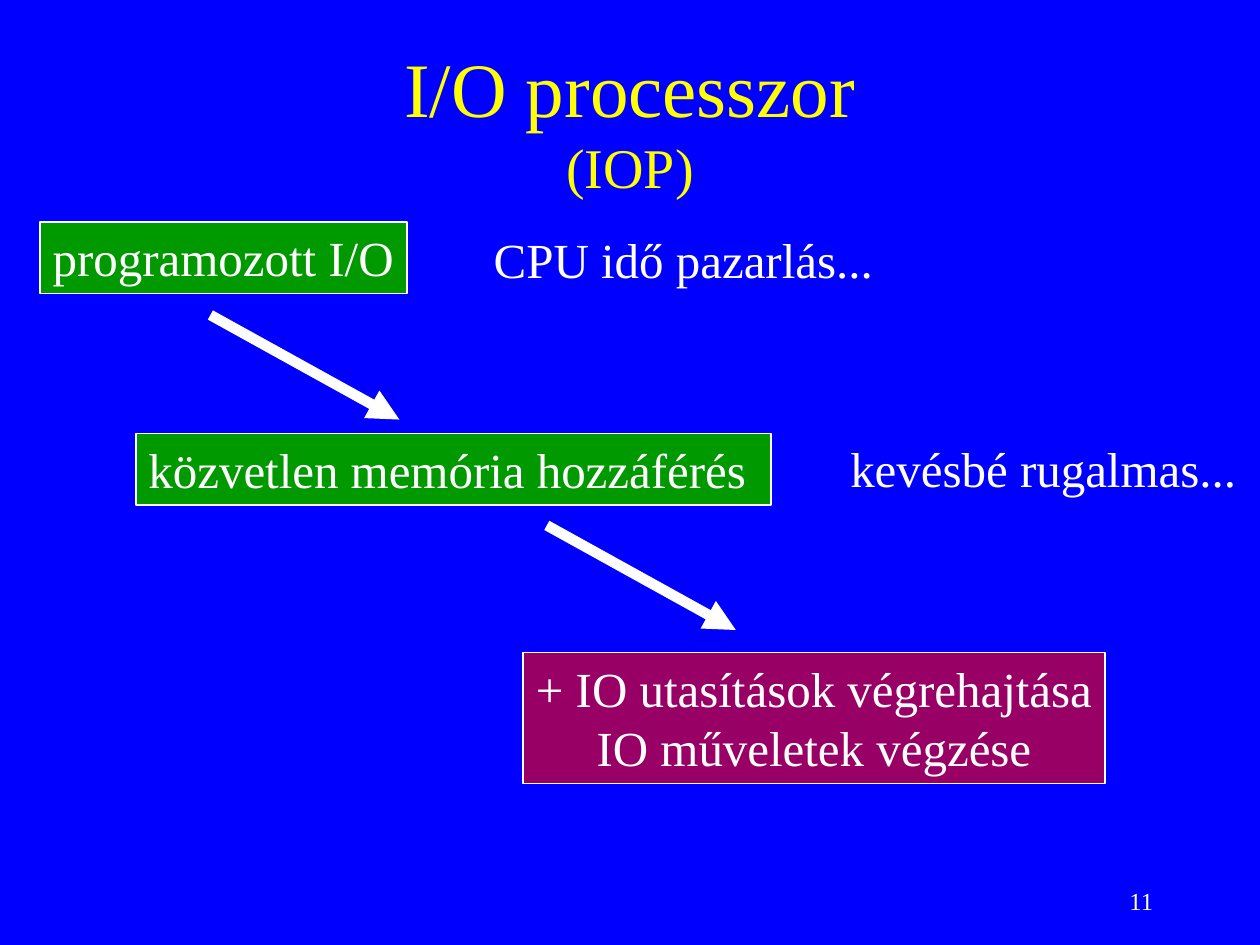
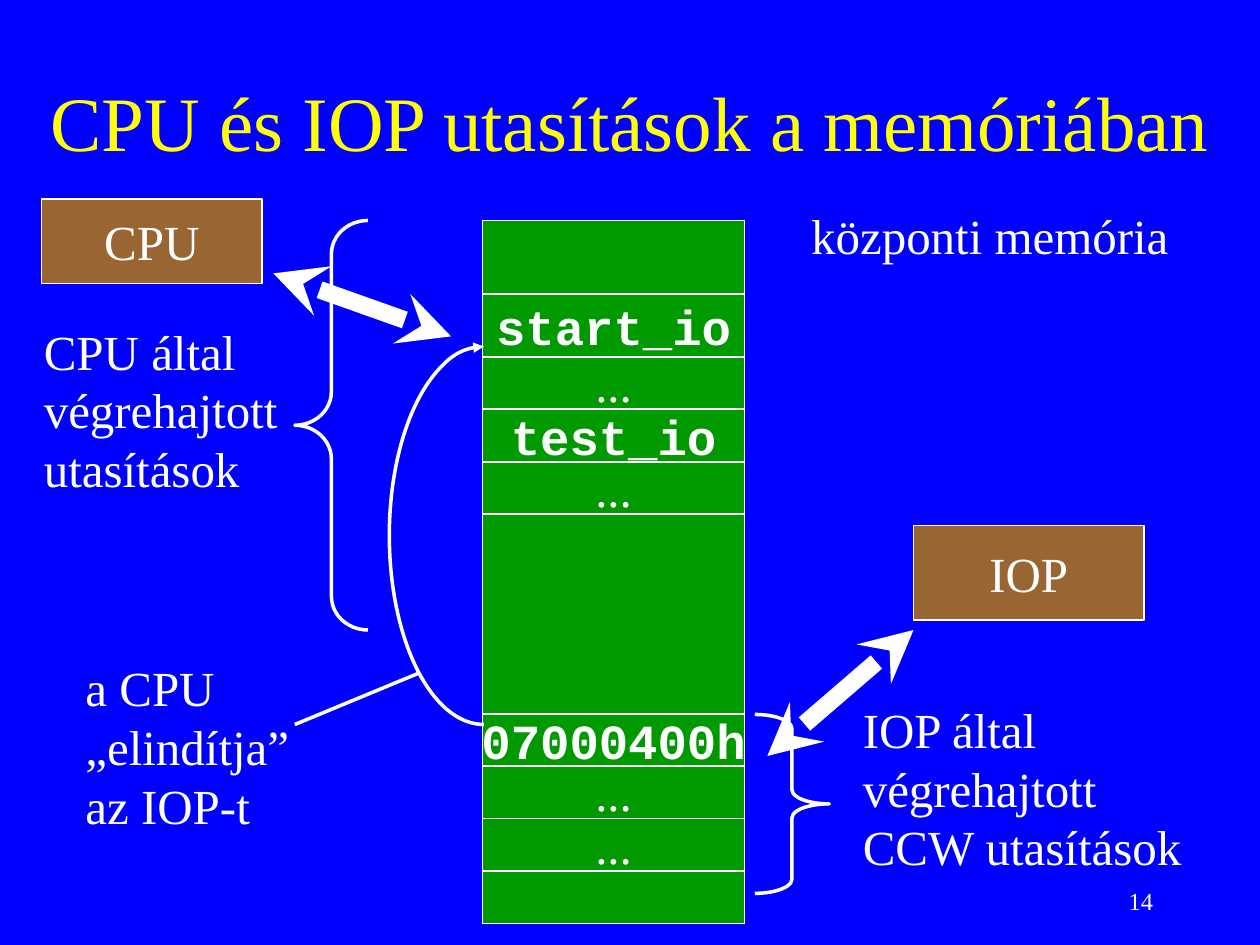
import dataclasses

import lxml.etree
import pptx
import pptx.dml.color
import pptx.enum.shapes
import pptx.enum.text
import pptx.oxml.ns
import pptx.util

Inches = pptx.util.Inches
Shape = pptx.enum.shapes.MSO_SHAPE
Align = pptx.enum.text.PP_ALIGN
Anchor = pptx.enum.text.MSO_ANCHOR
qn = pptx.oxml.ns.qn


@dataclasses.dataclass(frozen=True)
class Theme:
    background: str = "0000FF"
    title: str = "FFFF00"
    text: str = "FFFFFF"
    memory: str = "009900"
    result: str = "990066"
    processor: str = "996633"
    font: str = "Times New Roman"
    code_font: str = "Courier New"
    title_size: int = 44
    subtitle_size: int = 32
    body_size: int = 28
    number_size: int = 14
    border: float = 1
    thin: float = 2
    thick: float = 6
    heavy: float = 10


@dataclasses.dataclass(frozen=True)
class Box:
    left: float
    top: float
    width: float
    height: float

    def inner(self, left, top, width, height):
        return Box(self.left + left, self.top + top, width, height)

    def lengths(self):
        return [Inches(value) for value in (self.left, self.top, self.width, self.height)]


THEME = Theme()


def color(value):
    return pptx.dml.color.RGBColor.from_string(value)


def add_span(para, text, size, tint=THEME.text, font=THEME.font, bold=False):
    span = para.add_run()
    span.text = text
    span.font.name = font
    span.font.size = pptx.util.Pt(size)
    span.font.bold = bold
    span.font.color.rgb = color(tint)


def write_lines(shape, lines, align=Align.LEFT, anchor=Anchor.TOP, size=THEME.body_size,
                **style):
    frame = shape.text_frame
    frame.word_wrap = align != Align.CENTER
    frame.vertical_anchor = anchor
    if align == Align.LEFT:
        frame.margin_right = 0
    for index, text in enumerate(lines):
        para = frame.add_paragraph() if index else frame.paragraphs[0]
        para.alignment = align
        add_span(para, text, size, **style)


def add_label(page, box, lines, **style):
    write_lines(page.shapes.add_textbox(*box.lengths()), lines, **style)


def stroke(shape, width):
    shape.line.color.rgb = color(THEME.text)
    shape.line.width = pptx.util.Pt(width)


def add_block(page, box, fill, lines=(), **style):
    block = page.shapes.add_shape(Shape.RECTANGLE, *box.lengths())
    block.shadow.inherit = False
    block.fill.solid()
    block.fill.fore_color.rgb = color(fill)
    stroke(block, THEME.border)
    write_lines(block, lines, **style)


def add_processor(page, box, name):
    add_block(page, box, THEME.processor, [name], align=Align.CENTER, anchor=Anchor.MIDDLE)


def add_outline(page, kind, box, adjustments):
    outline = page.shapes.add_shape(kind, *box.lengths())
    outline.shadow.inherit = False
    outline.fill.background()
    stroke(outline, THEME.thin)
    for index, value in enumerate(adjustments):
        outline.adjustments[index] = value
    return outline


def add_arrowheads(shape, **ends):
    line = shape._element.spPr.find(qn("a:ln"))
    for end, kind in ends.items():
        lxml.etree.SubElement(line, qn(f"a:{end}"), type=kind)


def add_line(page, box, width, **ends):
    line = page.shapes.add_connector(
        pptx.enum.shapes.MSO_CONNECTOR.STRAIGHT,
        Inches(box.left), Inches(box.top),
        Inches(box.left + box.width), Inches(box.top + box.height))
    stroke(line, width)
    add_arrowheads(line, **ends)
    lxml.etree.SubElement(line._element.spPr, qn("a:effectLst"))


def add_exchange(page, box):
    add_line(page, box, THEME.heavy, headEnd="stealth", tailEnd="stealth")


def add_page(deck, title_box, title, number, subtitle=None):
    page = deck.slides.add_slide(deck.slide_layouts[5])
    heading = page.shapes.title
    heading.left, heading.top, heading.width, heading.height = title_box.lengths()
    frame = heading.text_frame
    frame.auto_size = pptx.enum.text.MSO_AUTO_SIZE.NONE
    frame.vertical_anchor = Anchor.MIDDLE
    para = frame.paragraphs[0]
    para.alignment = Align.CENTER
    add_span(para, title, THEME.title_size, THEME.title)
    if subtitle:
        para.add_line_break()
        add_span(para, subtitle, THEME.subtitle_size, THEME.title)
    add_label(page, Box(7.17, 6.98, 2.08, 0.34), [number], align=Align.RIGHT,
              anchor=Anchor.MIDDLE, size=THEME.number_size)
    return page


def draw_evolution(page, box):
    add_block(page, box.inner(3.83, 3.42, 4.62, 1.04), THEME.result,
              ["+ IO utasítások végrehajtása", "IO műveletek végzése"], align=Align.CENTER)
    add_block(page, box.inner(0, 0, 2.91, 0.57), THEME.memory, ["programozott I/O"])
    add_block(page, box.inner(0.76, 1.68, 5.04, 0.57), THEME.memory,
              ["közvetlen memória hozzáférés"])
    add_label(page, box.inner(3.5, 0.01, 3.21, 0.57), ["CPU idő pazarlás..."])
    add_label(page, box.inner(6.33, 1.67, 3.26, 0.57), ["kevésbé rugalmas..."])
    for step in range(2):
        add_line(page, box.inner(1.35 + 2.67 * step, 0.74 + 1.67 * step, 1.5, 0.83),
                 THEME.thick, tailEnd="triangle")


def draw_memory(page, box):
    cells = [("", 7), ("start_io", 6), ("...", 5), ("test_io", 5), ("...", 5),
             ("", 19), ("07000400h", 5), ("...", 5), ("...", 5), ("", 5)]
    unit = box.height / sum(units for _, units in cells)
    add_block(page, box, THEME.memory)
    top = 0
    for text, units in cells:
        height = units * unit
        if text:
            is_code = text != "..."
            add_block(page, box.inner(0, top, box.width, height), THEME.memory, [text],
                      align=Align.CENTER, anchor=Anchor.MIDDLE, bold=is_code,
                      font=THEME.code_font if is_code else THEME.font)
        top += height
    add_label(page, box.inner(2.51, -0.17, 3.04, 0.57), ["központi memória"])


def draw_cpu_side(page, box):
    add_processor(page, box.inner(0.08, 0, 1.75, 0.67), "CPU")
    add_outline(page, Shape.LEFT_BRACE, box.inner(2.09, 0.17, 0.58, 3.25), (0.46, 0.5))
    add_label(page, box.inner(0, 0.92, 2.06, 1.5), ["CPU által", "végrehajtott", "utasítások"])
    add_exchange(page, box.inner(1.92, 0.59, 1.41, 0.5))


def draw_iop_side(page, box):
    add_processor(page, box.inner(1.26, 0, 1.83, 0.75), "IOP")
    add_outline(page, Shape.RIGHT_BRACE, box.inner(0, 1.5, 0.59, 1.42), (0.19, 0.5))
    add_label(page, box.inner(0.76, 1.33, 2.74, 1.48),
              ["IOP által", "végrehajtott", "CCW utasítások"])
    add_exchange(page, box.inner(0.1, 1.83, 1.16, -1))


def draw_start_link(page, box):
    degree = 0.6
    arc = add_outline(page, Shape.ARC, box.inner(2.51, 0, 1.5, 3), (90 * degree, 270 * degree))
    add_arrowheads(arc, tailEnd="triangle")
    add_label(page, box.inner(0, 2.42, 1.92, 1.5), ["a CPU", "„elindítja”", "az IOP-t"])
    add_line(page, box.inner(2.75, 2.59, -0.99, 0.41), THEME.thin)


def build_iop_page(deck):
    page = add_page(deck, Box(0.75, 0.33, 8.5, 1.25), "I/O processzor", "11", "(IOP)")
    draw_evolution(page, Box(0.32, 1.76, 9.59, 4.46))


def build_memory_page(deck):
    page = add_page(deck, Box(0.25, 0.33, 9.5, 1.25),
                    "CPU és IOP utasítások a memóriában", "14")
    draw_memory(page, Box(3.83, 1.75, 2.08, 5.58))
    draw_cpu_side(page, Box(0.25, 1.58, 3.33, 3.42))
    draw_iop_side(page, Box(5.99, 4.17, 3.5, 2.92))
    draw_start_link(page, Box(0.58, 2.75, 4.01, 3.92))


def main():
    deck = pptx.Presentation()
    deck.slide_width = Inches(10)
    deck.slide_height = Inches(7.5)
    backdrop = deck.slide_master.background.fill
    backdrop.solid()
    backdrop.fore_color.rgb = color(THEME.background)
    build_iop_page(deck)
    build_memory_page(deck)
    deck.save("out.pptx")


if __name__ == "__main__":
    main()
